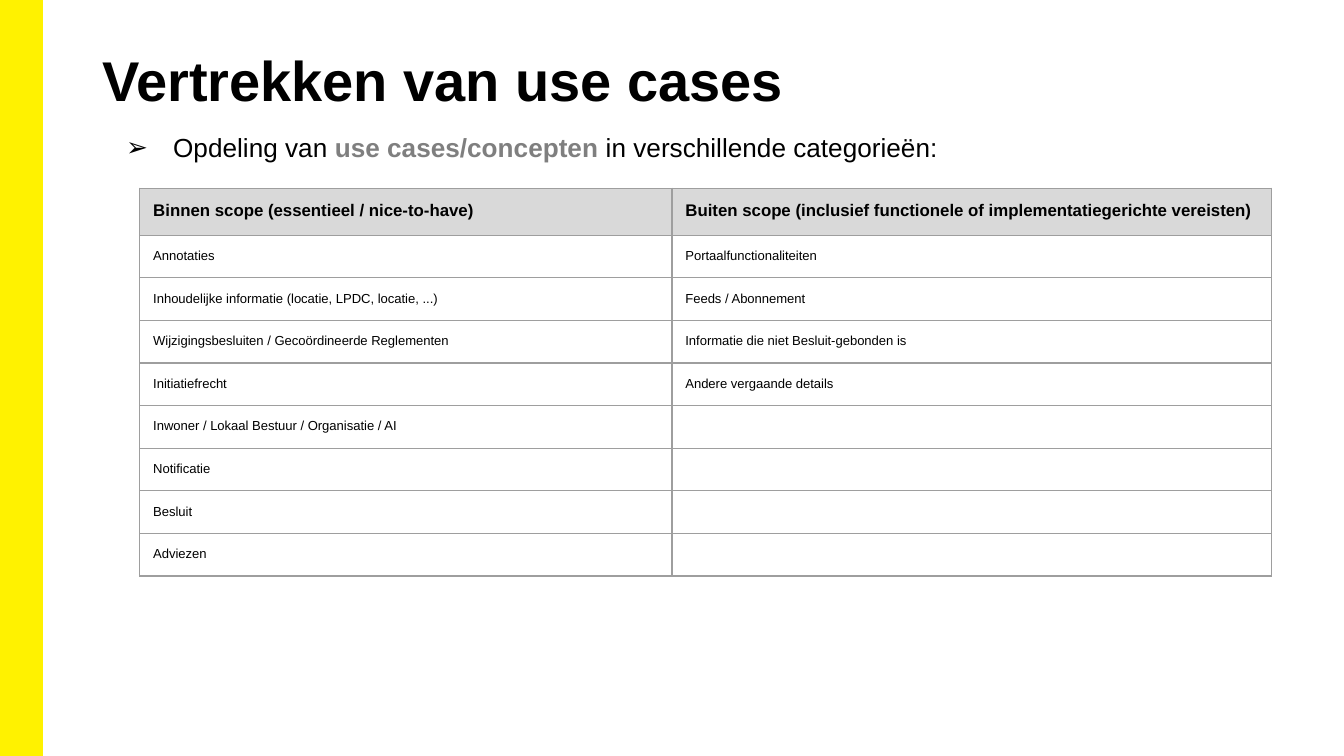
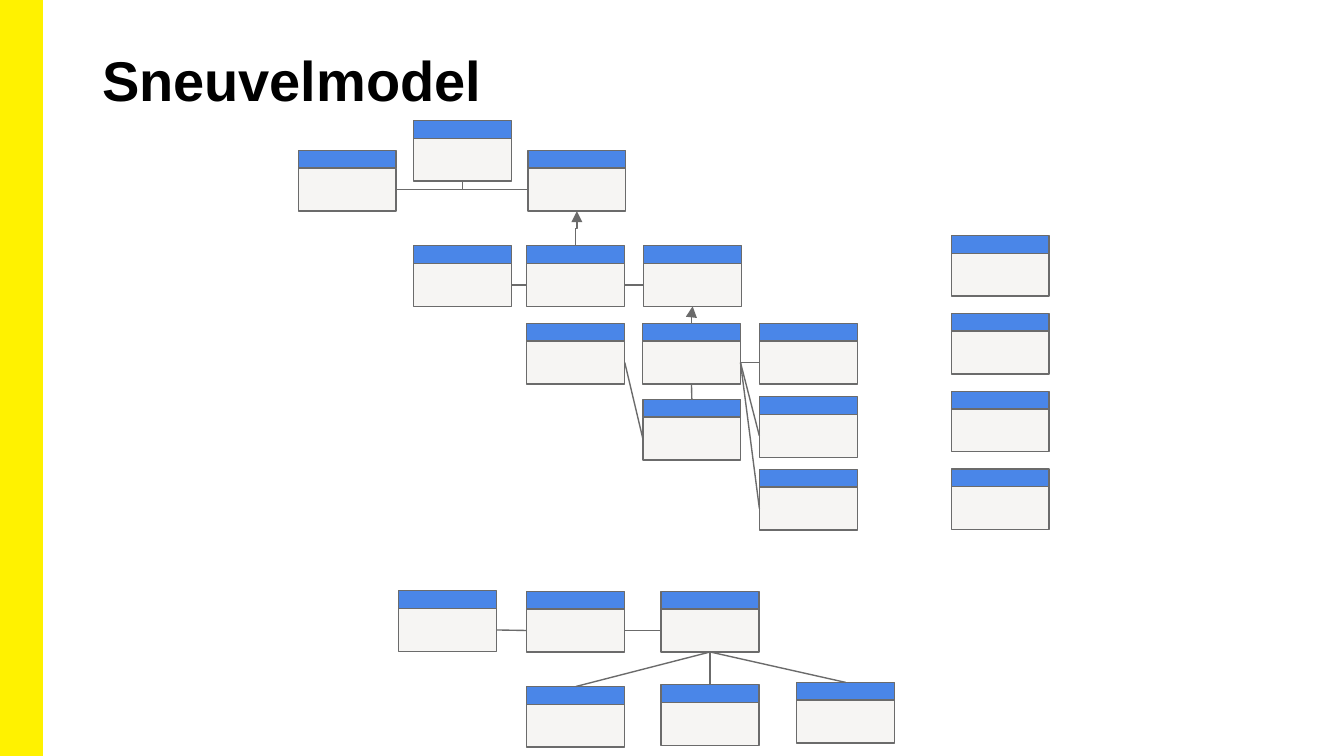
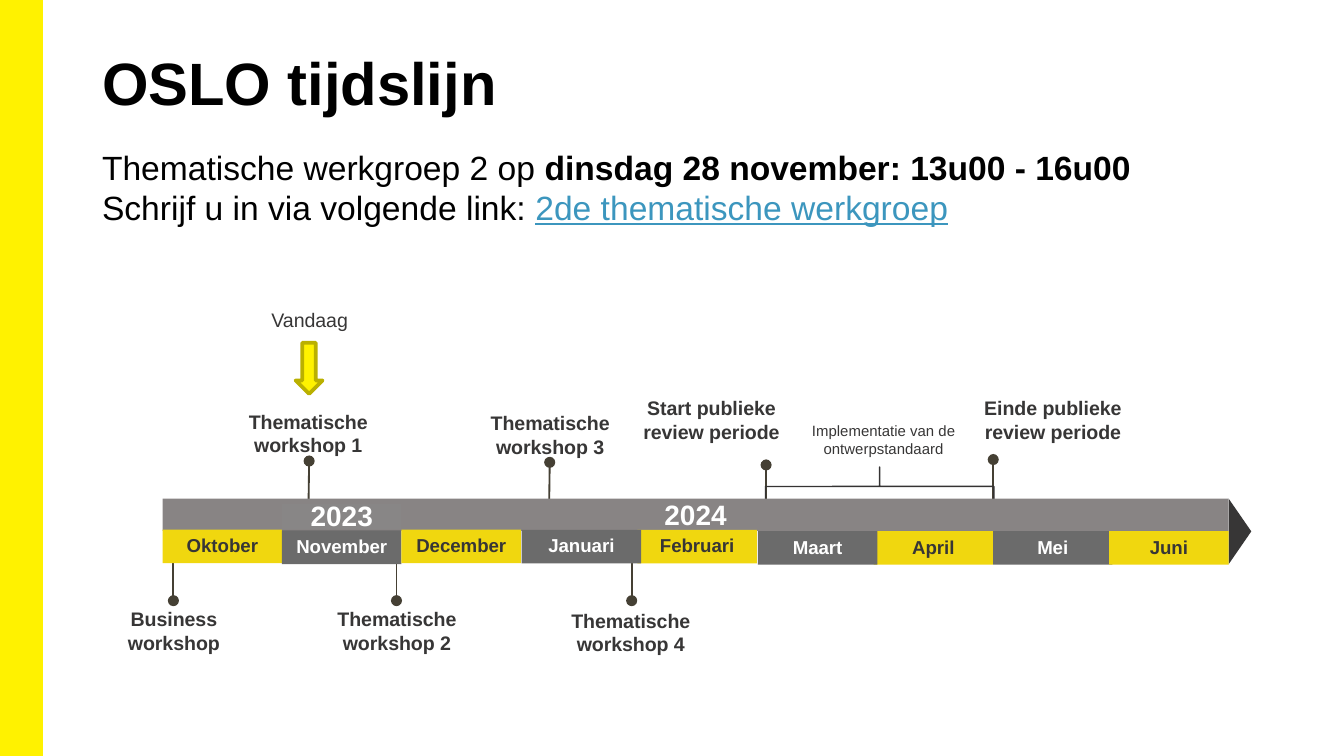
"""Build three slides: scoped use cases, a class model and a project timeline."""
from dataclasses import dataclass

from lxml import etree
from pptx import Presentation
from pptx.dml.color import RGBColor
from pptx.enum import shapes, text
from pptx.oxml import ns
from pptx.slide import Slide
from pptx.util import Pt

Box = tuple[float, float, float, float]
Pad = tuple[float, float, float, float]

FONT = "Arial"
BLACK, WHITE, INK = "000000", "FFFFFF", "373636"
YELLOW, GOLD, OLIVE = "FFF200", "F0D70F", "BAB000"
GREY, STEEL, SILVER = "6B6B6B", "888484", "9E9E9E"
HEAD, BODY, PIN = "4A86E8", "F6F5F3", "454034"
TITLE_PAD: Pad = (5, 3, 5, 3)
CELL_PAD: Pad = (7.2, 7.2, 7.2, 7.2)
MONTH_PAD: Pad = (5.8, 5.8, 5.8, 7.2)
NO_PAD: Pad = (0, 0, 0, 0)
CLASS_W, HEAD_H, BODY_H = 52.5, 9.5, 23
MONTH_W, MONTH_H = 64, 18
TOP, LEFT, BOTTOM, RIGHT = range(4)


@dataclass(frozen=True)
class Node:
    """A class box, placed by its top left corner."""
    key: str
    x: float
    y: float


@dataclass(frozen=True)
class Link:
    """A line between sides of two class boxes."""
    start: str
    side: int
    end: str
    goal: int
    arrow: bool = False


@dataclass(frozen=True)
class Mark:
    """A milestone: its caption, and a pin from dot to foot."""
    label: str
    left: float
    top: float
    x: float
    y: float
    foot: float
    lean: float = 0


@dataclass(frozen=True)
class Month:
    """A month block on the timeline."""
    name: str
    x: float
    y: float
    gold: bool = True


ROWS = [
    ("Binnen scope (essentieel / nice-to-have)",
     "Buiten scope (inclusief functionele of implementatiegerichte vereisten)"),
    ("Annotaties", "Portaalfunctionaliteiten"),
    ("Inhoudelijke informatie (locatie, LPDC, locatie, ...)", "Feeds / Abonnement"),
    ("Wijzigingsbesluiten / Gecoördineerde Reglementen",
     "Informatie die niet Besluit-gebonden is"),
    ("Initiatiefrecht", "Andere vergaande details"),
    ("Inwoner / Lokaal Bestuur / Organisatie / AI", ""),
    ("Notificatie", ""),
    ("Besluit", ""),
    ("Adviezen", ""),
]

NODES = [
    Node("low1", 213.5, 316.5), Node("low2", 282.2, 316.8), Node("low3", 354.2, 316.8),
    Node("leaf1", 282.2, 367.8), Node("leaf2", 354.2, 366.8), Node("leaf3", 426.8, 365.6),
    Node("top1", 159.8, 80.6), Node("top2", 221.6, 64.6), Node("top3", 282.8, 80.6),
    Node("mid1", 221.6, 131.6), Node("mid2", 282.2, 131.6), Node("mid3", 344.8, 131.6),
    Node("hub1", 282.2, 173.2), Node("hub2", 344.2, 173.2), Node("hub3", 406.8, 173.2),
    Node("sub1", 344.4, 214), Node("sub2", 406.8, 212.5), Node("sub3", 406.8, 251.4),
    *(Node(f"side{i}", 509.6, 126.2 + 41.7 * i) for i in range(4)),
]

LINKS = [
    Link("low2", LEFT, "low1", RIGHT), Link("low3", LEFT, "low2", RIGHT),
    *(Link("low3", BOTTOM, f"leaf{i}", TOP) for i in (1, 2, 3)),
    Link("top3", LEFT, "top1", RIGHT), Link("mid2", TOP, "top3", BOTTOM, True),
    Link("mid2", LEFT, "mid1", RIGHT), Link("mid3", LEFT, "mid2", RIGHT),
    Link("hub2", TOP, "mid3", BOTTOM, True),
    *(Link(key, LEFT, "hub2", RIGHT) for key in ("hub3", "sub2", "sub3")),
    Link("sub1", TOP, "hub2", BOTTOM), Link("sub1", LEFT, "hub1", RIGHT),
]

MARKS = [
    Mark("Business workshop", 49.7, 325.4, 92.9, 321.8, 300),
    Mark("Thematische workshop 1", 121.7, 219.6, 165.6, 247, 291, 0.6),
    Mark("Thematische workshop 2", 169.2, 325.4, 212.4, 321.8, 292),
    Mark("Thematische workshop 3", 251.3, 220.3, 294.5, 247.7, 291, 0.6),
    Mark("Thematische workshop 4", 294.5, 326.2, 338.4, 321.8, 292),
    Mark("Start publieke review periode", 337.7, 212.4, 410.4, 249.1, 293),
    Mark("Einde publieke review periode", 520.6, 212.4, 532.1, 246.2, 294),
]

MONTHS = [
    Month("Oktober", 87.1, 283.7), Month("November", 151.1, 284.2, False),
    Month("December", 215.1, 283.7), Month("Februari", 341.5, 283.9),
    Month("April", 468, 284.5), Month("Mei", 532, 284.5, False),
    Month("Juni", 594.2, 284.5), Month("Januari", 279.5, 283.9, False),
    Month("Maart", 406, 284.5, False),
]


def rgb(code: str) -> RGBColor:
    """Turn a hex string into a colour."""
    return RGBColor.from_string(code)


def write(para, words: str, *, size: float, color: str = BLACK, bold: bool = False,
          under: bool = False) -> None:
    """Add one formatted run to a paragraph."""
    run = para.add_run()
    run.text = words
    font = run.font
    font.name, font.size, font.bold, font.underline = FONT, Pt(size), bold, under
    font.color.rgb = rgb(color)


def fit(frame, pad: Pad, middle: bool = False):
    """Set wrapping, insets and anchor, and return the first paragraph."""
    frame.word_wrap = True
    frame.margin_left, frame.margin_top, frame.margin_right, frame.margin_bottom = map(Pt, pad)
    frame.vertical_anchor = text.MSO_ANCHOR.MIDDLE if middle else text.MSO_ANCHOR.TOP
    return frame.paragraphs[0]


def area(slide: Slide, box: Box, pad: Pad):
    """Add an empty text box and return its frame."""
    frame = slide.shapes.add_textbox(*map(Pt, box)).text_frame
    fit(frame, pad)
    return frame


def label(slide: Slide, box: Box, words: str, **style) -> None:
    """Add a centred caption without insets."""
    para = area(slide, box, NO_PAD).paragraphs[0]
    para.alignment = text.PP_ALIGN.CENTER
    write(para, words, color=INK, **style)


def block(slide: Slide, box: Box, fill: str | None, edge: str | None = None,
          width: float = 0.75, kind=shapes.MSO_SHAPE.RECTANGLE):
    """Add a preset shape with plain fill and outline."""
    form = slide.shapes.add_shape(kind, *map(Pt, box))
    form.shadow.inherit = False
    if fill:
        form.fill.solid()
        form.fill.fore_color.rgb = rgb(fill)
    else:
        form.fill.background()
    if edge:
        form.line.color.rgb = rgb(edge)
        form.line.width = Pt(width)
    else:
        form.line.fill.background()
    return form


def tag(slide: Slide, box: Box, fill: str, words: str, pad: Pad, **style) -> None:
    """Add a filled block with bold centred text."""
    para = fit(block(slide, box, fill).text_frame, pad, middle=True)
    para.alignment = text.PP_ALIGN.CENTER
    write(para, words, bold=True, **style)


def wire(slide: Slide, ends: Box, color: str, width: float, *, bent: bool = False,
         head: str = "", tail: str = ""):
    """Add a connector with optional end marks."""
    kind = shapes.MSO_CONNECTOR.ELBOW if bent else shapes.MSO_CONNECTOR.STRAIGHT
    line = slide.shapes.add_connector(kind, *map(Pt, ends))
    line.line.color.rgb = rgb(color)
    line.line.width = Pt(width)
    stroke = line.line._get_or_add_ln()
    for name, mark in (("a:headEnd", head), ("a:tailEnd", tail)):
        if mark:
            etree.SubElement(stroke, ns.qn(name), type=mark)
    etree.SubElement(line._element.spPr, ns.qn("a:effectLst"))
    return line


def start(deck, title: str, size: float = 30) -> Slide:
    """Add a blank slide with the yellow band and a title."""
    slide = deck.slides.add_slide(deck.slide_layouts[6])
    block(slide, (0, 0, 22.5, 405), YELLOW, YELLOW, 1)
    frame = area(slide, (49.7, 21.6, 640, 43), TITLE_PAD)
    write(frame.paragraphs[0], title, size=size, bold=True)
    return slide


def bullet(para, sign: str) -> None:
    """Give a paragraph a hanging bullet."""
    props = para._p.get_or_add_pPr()
    props.set("marL", str(Pt(36)))
    props.set("indent", str(Pt(-25.2)))
    tint = etree.SubElement(props, ns.qn("a:buClr"))
    etree.SubElement(tint, ns.qn("a:srgbClr"), val=BLACK)
    etree.SubElement(props, ns.qn("a:buFont"), typeface=FONT)
    etree.SubElement(props, ns.qn("a:buChar"), char=sign)


def frame_cell(cell) -> None:
    """Draw grey borders round a table cell."""
    props = cell._tc.get_or_add_tcPr()
    for spot, side in enumerate("LRTB"):
        edge = etree.Element(ns.qn(f"a:ln{side}"), w=str(Pt(0.75)))
        fill = etree.SubElement(edge, ns.qn("a:solidFill"))
        etree.SubElement(fill, ns.qn("a:srgbClr"), val=SILVER)
        props.insert(spot, edge)


def scope(deck) -> None:
    """Build the slide with the scope table."""
    slide = start(deck, "Vertrekken van use cases")
    para = area(slide, (49.7, 63.4, 631.4, 31.7), CELL_PAD).paragraphs[0]
    bullet(para, "➢")
    write(para, "Opdeling van ", size=14)
    write(para, "use cases/concepten", size=14, color="7F7F7F", bold=True)
    write(para, " in verschillende categorieën:", size=14)

    holder = slide.shapes.add_table(len(ROWS), 2, *map(Pt, (74.9, 100.8, 606.2, 207.6)))
    table = holder.table
    table.first_row = table.horz_banding = False
    for col, width in zip(table.columns, (285.1, 321.1)):
        col.width = Pt(width)
    for i, row in enumerate(ROWS):
        table.rows[i].height = Pt(22.8 if i else 25.2)
        for j, words in enumerate(row):
            cell = table.cell(i, j)
            cell.margin_left, cell.margin_top, cell.margin_right, cell.margin_bottom = map(
                Pt, CELL_PAD)
            if i:
                cell.fill.background()
            else:
                cell.fill.solid()
                cell.fill.fore_color.rgb = rgb("D9D9D9")
            frame_cell(cell)
            para = cell.text_frame.paragraphs[0]
            if words:
                write(para, words, size=7 if i else 9, bold=not i)
            else:
                etree.SubElement(para._p, ns.qn("a:endParaRPr"), sz="700")


def turn(line) -> None:
    """Make an elbow connector leave upwards instead of sideways."""
    mid_x = (line.begin_x + line.end_x) // 2
    mid_y = (line.begin_y + line.end_y) // 2
    wide, high = line.height, line.width
    frame = line._element.spPr.find(ns.qn("a:xfrm"))
    for flip in ("flipH", "flipV"):
        frame.attrib.pop(flip, None)
    frame.set("rot", "16200000")
    line.width, line.height = wide, high
    line.left, line.top = mid_x - wide // 2, mid_y - high // 2


def model(deck) -> None:
    """Build the slide with the class model."""
    slide = start(deck, "Sneuvelmodel")
    heads, bodies = {}, {}
    for node in NODES:
        bodies[node.key] = block(
            slide, (node.x, node.y + HEAD_H, CLASS_W, BODY_H), BODY, GREY)
        heads[node.key] = block(slide, (node.x, node.y, CLASS_W, HEAD_H), HEAD, GREY)

    def port(key: str, side: int):
        """Return the part of a class box that owns this side."""
        return (heads if side == TOP else bodies)[key]

    for link in LINKS:
        line = wire(slide, (0, 0, 0, 0), GREY, 0.75, bent=link.arrow,
                    tail="triangle" if link.arrow else "")
        line.begin_connect(port(link.start, link.side), link.side)
        line.end_connect(port(link.end, link.goal), link.goal)
        if link.arrow:
            turn(line)
    stem = wire(slide, (247.85, 101.6, 247.85, 97), GREY, 0.75)
    stem.end_connect(bodies["top2"], BOTTOM)


def timeline(deck) -> None:
    """Build the slide with the timeline."""
    slide = start(deck, "OSLO tijdslijn", 32)
    frame = area(slide, (49.7, 75.6, 620.6, 77), TITLE_PAD)
    first, second = frame.paragraphs[0], frame.add_paragraph()
    write(first, "Thematische werkgroep 2 op ", size=18)
    write(first, "dinsdag 28 november: 13u00 - 16u00", size=18, bold=True)
    write(second, "Schrijf u in via volgende link: ", size=18)
    write(second, "2de thematische werkgroep", size=18, color="3C96BE", under=True)

    for mark in MARKS:
        wire(slide, (mark.x, mark.y, mark.x - mark.lean, mark.foot), PIN, 1, head="oval")
        label(slide, (mark.left, mark.top, 87, 30), mark.label, size=10.5, bold=True)
    label(slide, (425.5, 226.1, 95.8, 30), "Implementatie van de ontwerpstandaard", size=8)
    label(slide, (122.4, 164.9, 87, 18.7), "Vandaag", size=10.5)
    block(slide, (158.4, 183.6, 14.4, 27.4), YELLOW, OLIVE, 2, shapes.MSO_SHAPE.DOWN_ARROW)

    brace = block(slide, (460.8, 199.4, 20.9, 122.4), None, "353333",
                  kind=shapes.MSO_SHAPE.LEFT_BRACE)
    brace.adjustments[0], brace.adjustments[1] = 0, 0.5
    tip = block(slide, (646.6, 278.6, 35.3, 12.2), INK,
                kind=shapes.MSO_SHAPE.ISOSCELES_TRIANGLE)
    brace.rotation = tip.rotation = 90

    tag(slide, (87.1, 267.1, 571, 17.3), STEEL, "2024", (7.2, 3.6, 7.2, 3.6),
        size=15, color=WHITE)
    for month in MONTHS:
        tag(slide, (month.x, month.y, MONTH_W, MONTH_H), GOLD if month.gold else GREY,
            month.name, MONTH_PAD, size=10, color=INK if month.gold else WHITE)
    tag(slide, (151.1, 270, MONTH_W, 13.7), "888686", "2023", MONTH_PAD,
        size=15, color=WHITE)


def main() -> None:
    """Build and save the deck."""
    deck = Presentation()
    deck.slide_width, deck.slide_height = Pt(720), Pt(405)
    for build in (scope, model, timeline):
        build(deck)
    deck.save("out.pptx")


if __name__ == "__main__":
    main()
